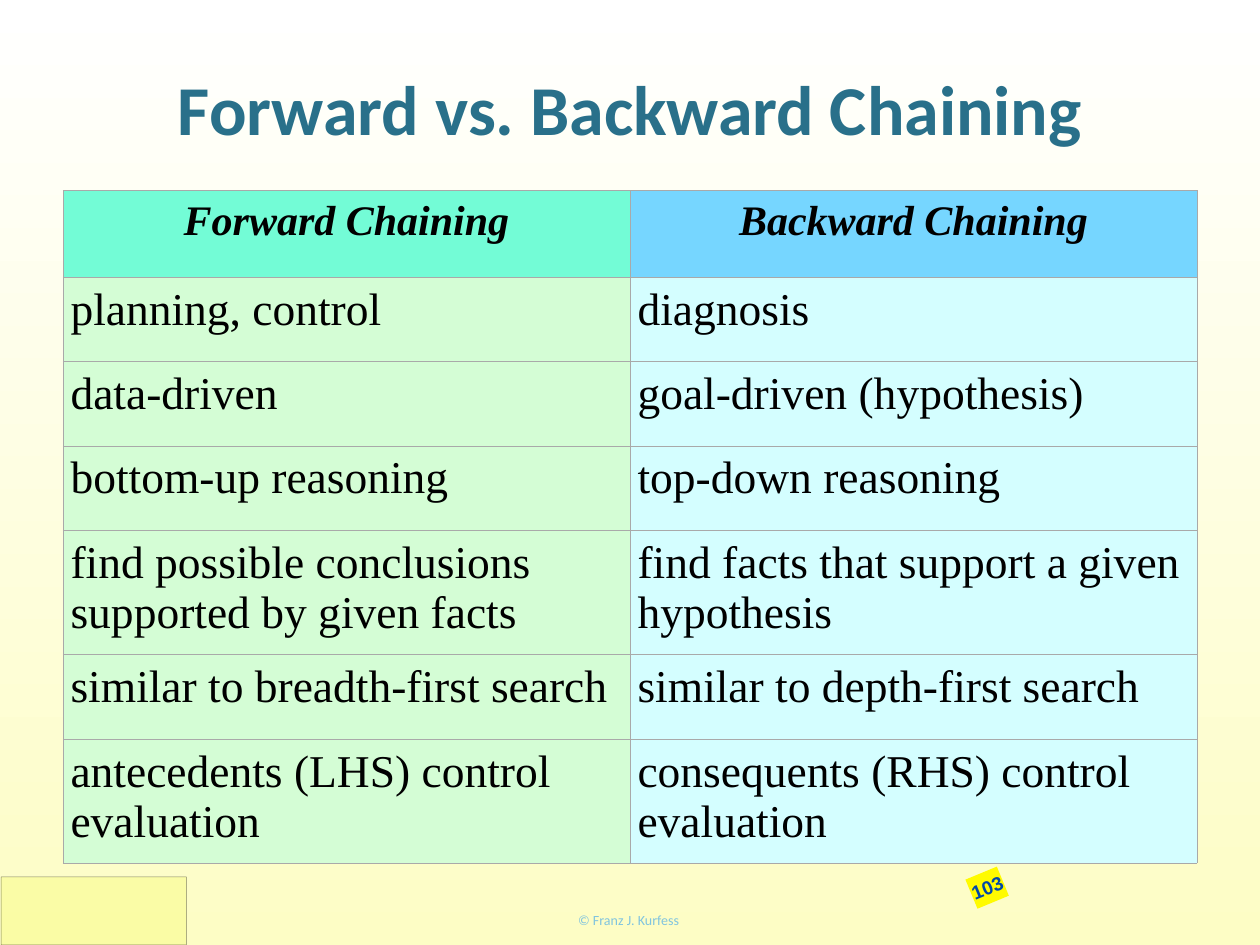
from lxml.etree import SubElement
from pptx import Presentation
from pptx.dml.color import RGBColor
from pptx.enum.shapes import MSO_SHAPE
from pptx.enum.text import MSO_ANCHOR, PP_ALIGN
from pptx.oxml.ns import qn
from pptx.util import Inches, Pt

CREAM = RGBColor(0xFD, 0xFD, 0xC5)
WHITE = RGBColor(0xFF, 0xFF, 0xFF)
BLACK = RGBColor(0x00, 0x00, 0x00)
TEAL = RGBColor(0x29, 0x70, 0x8A)
PALE_BLUE = RGBColor(0x80, 0xC4, 0xDF)
NAVY = RGBColor(0x00, 0x48, 0xAA)
YELLOW = RGBColor(0xFF, 0xFB, 0x00)
CORNER_YELLOW = RGBColor(0xF8, 0xFC, 0x84)
BORDER_GRAY = RGBColor(0xA9, 0xA9, 0xA9)
HEADER_FILLS = (RGBColor(0x73, 0xFC, 0xD6), RGBColor(0x76, 0xD6, 0xFF))
BODY_FILLS = (RGBColor(0xD4, 0xFD, 0xD5), RGBColor(0xD4, 0xFE, 0xFF))

ROWS = [
    ("Forward Chaining", "Backward Chaining"),
    ("planning, control", "diagnosis"),
    ("data-driven", "goal-driven (hypothesis)"),
    ("bottom-up reasoning", "top-down reasoning"),
    ("find possible conclusions supported by given facts",
     "find facts that support a given hypothesis"),
    ("similar to breadth-first search", "similar to depth-first search"),
    ("antecedents (LHS) control evaluation",
     "consequents (RHS) control evaluation"),
]
ROW_HEIGHTS = (0.69, 0.67, 0.67, 0.67, 0.95, 0.67, 0.95)


def set_margins(target, inches):
    margin = Inches(inches)
    target.margin_left = target.margin_right = margin
    target.margin_top = target.margin_bottom = margin


def add_run(paragraph, text, font_name, size, color, bold=False, italic=False):
    run = paragraph.add_run()
    run.text = text
    font = run.font
    font.name, font.size = font_name, Pt(size)
    font.bold, font.italic = bold, italic
    font.color.rgb = color


def fill_frame(frame, text, font_name, size, color, bold=False, wrap=True):
    set_margins(frame, 0.04)
    frame.word_wrap = wrap
    frame.vertical_anchor = MSO_ANCHOR.MIDDLE
    paragraph = frame.paragraphs[0]
    paragraph.alignment = PP_ALIGN.CENTER
    add_run(paragraph, text, font_name, size, color, bold)


def add_label(slide, box, *text_style):
    label = slide.shapes.add_textbox(*map(Inches, box))
    fill_frame(label.text_frame, *text_style)


def add_rectangle(slide, box, color):
    shape = slide.shapes.add_shape(MSO_SHAPE.RECTANGLE, *map(Inches, box))
    shape.shadow.inherit = False
    shape.fill.solid()
    shape.fill.fore_color.rgb = color
    shape.line.fill.background()
    return shape


def add_corner_panel(slide):
    panel = add_rectangle(slide, (0.01, 6.96, 1.47, 0.54), CORNER_YELLOW)
    panel.line.color.rgb = BLACK
    panel.line.width = Pt(0.25)
    # Fill and line are both 48% opaque
    for color in panel._element.spPr.iter(qn("a:srgbClr")):
        SubElement(color, qn("a:alpha"), val="48000")


def add_page_number(slide):
    badge = add_rectangle(slide, (7.7, 6.92, 0.27, 0.25), YELLOW)
    badge.rotation = 337.5
    fill_frame(badge.text_frame, "103", "Arial", 11, NAVY, True, wrap=False)


def set_borders(cell):
    properties = cell._tc.get_or_add_tcPr()
    for index, side in enumerate(("lnL", "lnR", "lnT", "lnB")):
        line = SubElement(properties, qn(f"a:{side}"), w=str(Pt(0.25)))
        fill = SubElement(line, qn("a:solidFill"))
        SubElement(fill, qn("a:srgbClr"), val=str(BORDER_GRAY))
        # Borders must come before the cell fill
        properties.remove(line)
        properties.insert(index, line)


def add_comparison_table(slide):
    frame = slide.shapes.add_table(len(ROWS), 2, Inches(0.5), Inches(1.51),
                                   Inches(9), Inches(sum(ROW_HEIGHTS)))
    table = frame.table
    table.first_row = table.horz_banding = False
    for row_index, (texts, height) in enumerate(zip(ROWS, ROW_HEIGHTS)):
        table.rows[row_index].height = Inches(height)
        is_header = row_index == 0
        fills = HEADER_FILLS if is_header else BODY_FILLS
        for column_index, (text, color) in enumerate(zip(texts, fills)):
            cell = table.cell(row_index, column_index)
            set_margins(cell, 0.06)
            cell.fill.solid()
            cell.fill.fore_color.rgb = color
            set_borders(cell)
            paragraph = cell.text_frame.paragraphs[0]
            paragraph.alignment = PP_ALIGN.CENTER if is_header else PP_ALIGN.LEFT
            add_run(paragraph, text, "Times New Roman",
                    24 if is_header else 26, BLACK, is_header, is_header)


def set_background(slide):
    fill = slide.background.fill
    fill.gradient()
    fill.gradient_angle = 90
    for stop, color in zip(fill.gradient_stops, (CREAM, WHITE)):
        stop.color.rgb = color


def main():
    presentation = Presentation()
    presentation.slide_width = Inches(10)
    presentation.slide_height = Inches(7.5)
    slide = presentation.slides.add_slide(presentation.slide_layouts[6])

    set_background(slide)
    # Footer decoration and credit
    add_corner_panel(slide)
    add_label(slide, (3.36, 7.17, 3.26, 0.26),
              "© Franz J. Kurfess", "Calibri", 8, PALE_BLUE)
    # Title and content
    add_label(slide, (0.6, 0, 8.8, 1.7),
              "Forward vs. Backward Chaining", "Calibri", 40, TEAL, True)
    add_comparison_table(slide)
    add_page_number(slide)

    presentation.save("out.pptx")


if __name__ == "__main__":
    main()
